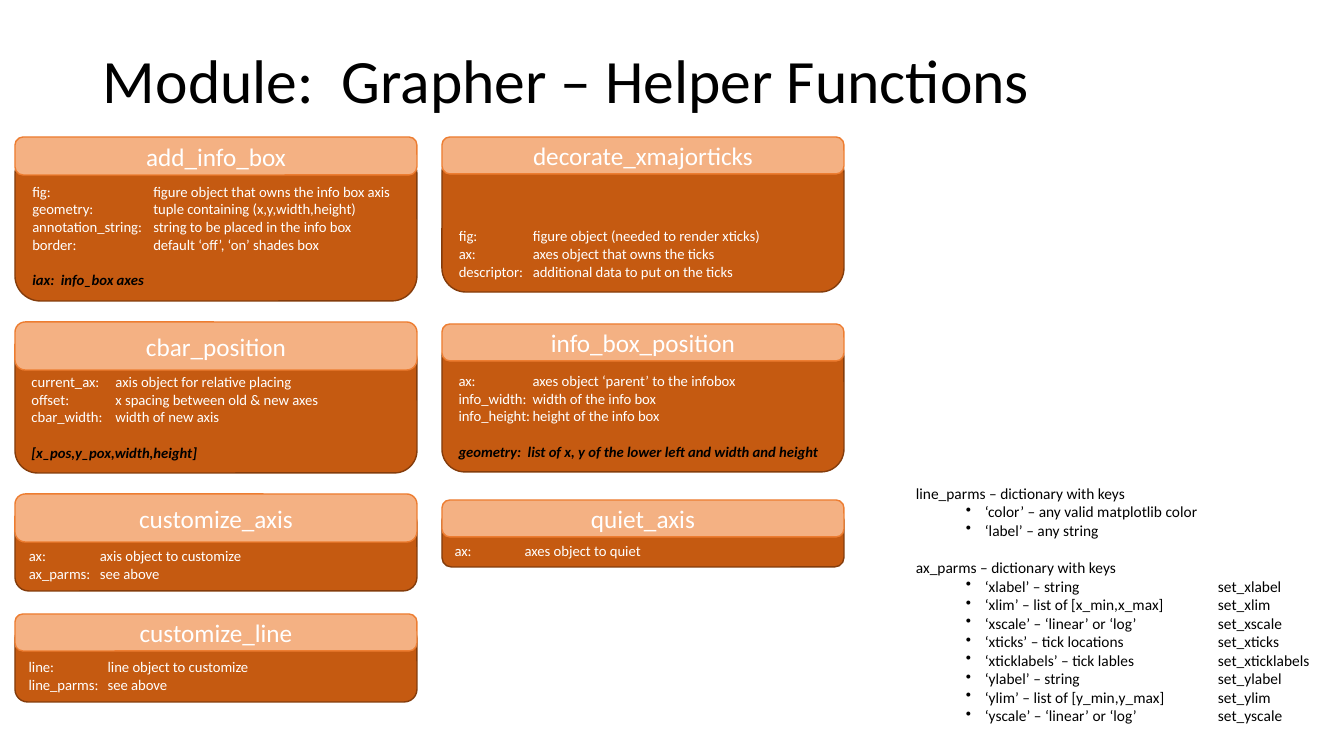
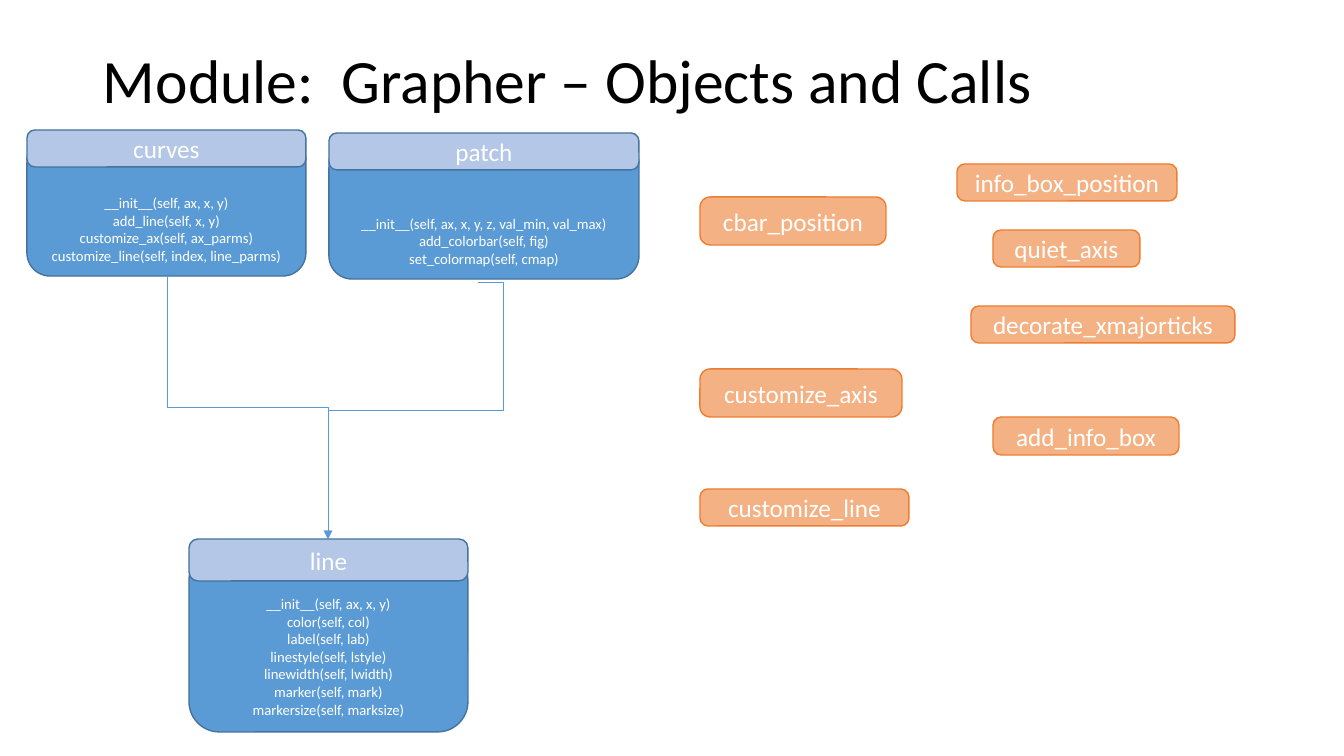
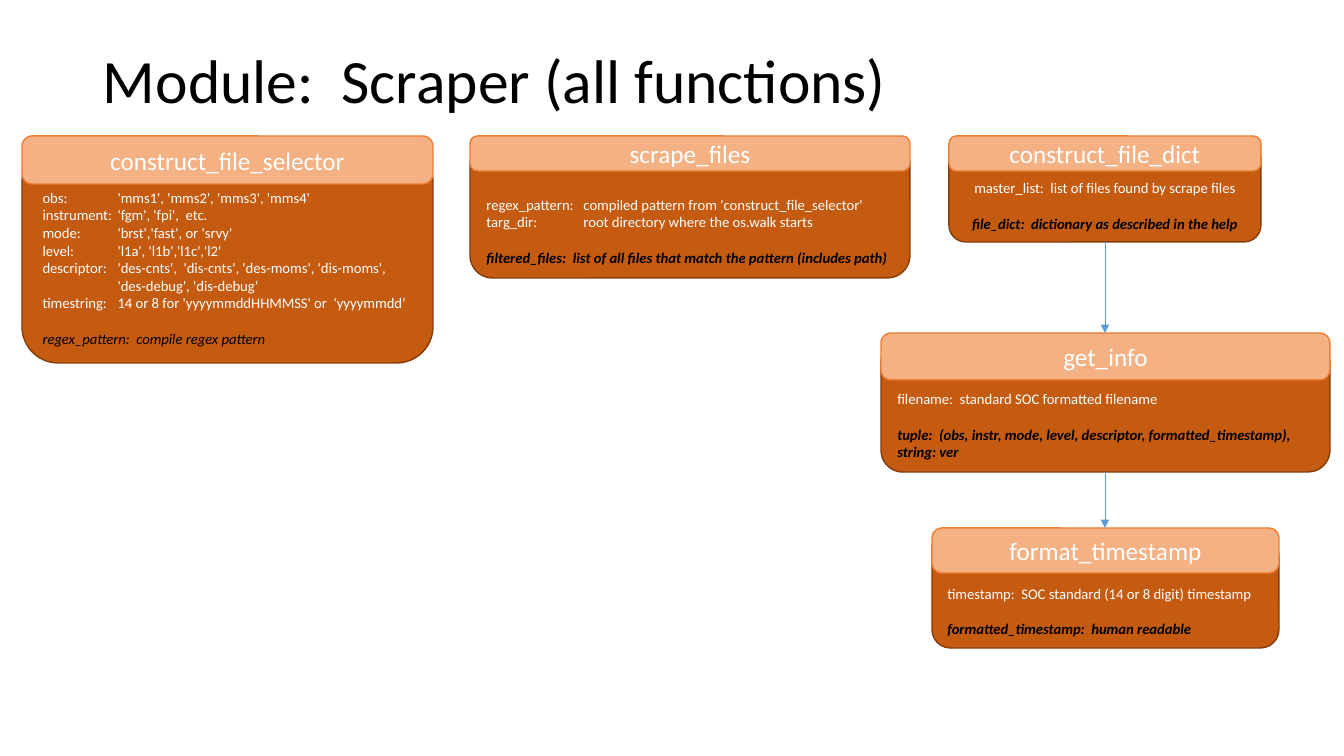
from lxml import etree
from pptx import Presentation
from pptx.dml.color import RGBColor
from pptx.enum.shapes import MSO_CONNECTOR, MSO_SHAPE
from pptx.enum.text import MSO_ANCHOR, PP_ALIGN
from pptx.oxml.ns import qn
from pptx.util import Pt

PIXEL = 914400 / 100.8
FONT = "Calibri"
BLACK = RGBColor(0x00, 0x00, 0x00)
WHITE = RGBColor(0xFF, 0xFF, 0xFF)
CONNECTOR_BLUE = RGBColor(0x5B, 0x9B, 0xD5)

ROUNDED = MSO_SHAPE.ROUNDED_RECTANGLE
STRAIGHT, ELBOW = MSO_CONNECTOR.STRAIGHT, MSO_CONNECTOR.ELBOW
LEFT, CENTER = PP_ALIGN.LEFT, PP_ALIGN.CENTER
MIDDLE, BOTTOM, TOP = MSO_ANCHOR.MIDDLE, MSO_ANCHOR.BOTTOM, MSO_ANCHOR.TOP

# Fill and outline of card headers and bodies
ORANGE = {
    "header": (RGBColor(0xF4, 0xB1, 0x83), RGBColor(0xED, 0x7D, 0x31)),
    "body": (RGBColor(0xC5, 0x5A, 0x11), RGBColor(0x84, 0x3C, 0x0B)),
}
BLUE_LINE = RGBColor(0x43, 0x73, 0x9E)
BLUE = {
    "header": (RGBColor(0xB4, 0xC7, 0xE7), BLUE_LINE),
    "body": (CONNECTOR_BLUE, BLUE_LINE),
}

# Text formats
TITLE = {"size": Pt(44), "color": BLACK}
HEADER = {"size": Pt(18), "color": WHITE}
ARGUMENT = {"size": Pt(10.5), "color": WHITE}
RESULT = {"size": Pt(10.5), "color": BLACK, "italic": True, "bold": True}
PLAIN_RESULT = {**RESULT, "bold": False}
NOTE = {"size": Pt(11), "color": BLACK}


def emu(pixels):
    return round(pixels * PIXEL)


def write(frame, rows, anchor, align=LEFT, tab=None):
    """Fill a text frame with (text, format) rows; return its paragraphs."""
    frame.word_wrap = True
    frame.vertical_anchor = anchor
    for index, (text, style) in enumerate(rows):
        paragraph = frame.paragraphs[0] if index == 0 else frame.add_paragraph()
        paragraph.alignment = align
        run = paragraph.add_run()
        run.text = text
        run.font.name = FONT
        for name, value in style.items():
            if name == "color":
                run.font.color.rgb = value
            else:
                setattr(run.font, name, value)
        if tab and "\t" in text:
            tabs = etree.SubElement(paragraph._p.get_or_add_pPr(), qn("a:tabLst"))
            etree.SubElement(tabs, qn("a:tab"), pos=str(emu(tab)), algn="l")
    return frame.paragraphs


def add_title(slide, text):
    box = slide.shapes.add_textbox(*map(emu, (93, 40, 1159, 87)))
    write(box.text_frame, [(text, TITLE)], MIDDLE)[0].line_spacing = 0.9


def rounded_box(shapes, box, colors):
    shape = shapes.add_shape(ROUNDED, *map(emu, box))
    shape.shadow.inherit = False
    shape.fill.solid()
    shape.fill.fore_color.rgb, shape.line.color.rgb = colors
    shape.line.width = Pt(1)
    return shape


def header_box(shapes, box, name, palette=ORANGE):
    shape = rounded_box(shapes, box, palette["header"])
    shape.adjustments[0] = 0.214
    write(shape.text_frame, [(name, HEADER)], MIDDLE, CENTER)


def card(slide, box, header_height, drop, name, arguments, results=(),
         tab=None, align=LEFT, palette=ORANGE, result_style=RESULT):
    """A header over a body that starts `drop` below the top of the box."""
    left, top, width, height = box
    shapes = slide.shapes.add_group_shape().shapes
    body = rounded_box(shapes, (left, top + drop, width, height - drop), palette["body"])
    rows = [(text, ARGUMENT) for text in arguments]
    rows += [(text, result_style) for text in results]
    paragraphs = write(body.text_frame, rows, BOTTOM, align, tab)
    if results:
        paragraphs[len(arguments)].space_before = Pt(12.8)
    header_box(shapes, (left, top, width, header_height), name, palette)


def connect(slide, kind, start, end):
    connector = slide.shapes.add_connector(kind, *map(emu, (*start, *end)))
    connector.line.color.rgb = CONNECTOR_BLUE
    connector.line.width = Pt(0.5)
    etree.SubElement(connector.line._get_or_add_ln(), qn("a:tailEnd"), type="triangle")
    etree.SubElement(connector._element.spPr, qn("a:effectLst"))
    return connector


def connect_down_right(slide, start, end):
    """An elbow that leaves downwards: a level elbow turned by 270 degrees."""
    center_x, center_y = (start[0] + end[0]) / 2, (start[1] + end[1]) / 2
    half_width, half_height = (end[1] - start[1]) / 2, (end[0] - start[0]) / 2
    connector = connect(slide, ELBOW,
                        (center_x + half_width, center_y - half_height),
                        (center_x - half_width, center_y + half_height))
    connector._element.spPr.find(qn("a:xfrm")).set("rot", str(270 * 60000))


def connect_around_right(slide, start, end, overhang):
    """An elbow that first runs right by `overhang`, then down and back left."""
    connector = connect(slide, ELBOW, start, end)
    geometry = connector._element.spPr.find(qn("a:prstGeom"))
    geometry.set("prst", "bentConnector4")
    guides = geometry.find(qn("a:avLst"))
    first = -round(overhang / (start[0] - end[0]) * 100000)
    for name, value in (("adj1", first), ("adj2", 50000)):
        etree.SubElement(guides, qn("a:gd"), name=name, fmla=f"val {value}")


def parameter_notes(slide, box, sections):
    """Headings, each with bulleted keys and a column of setters."""
    shape = slide.shapes.add_textbox(*map(emu, box))
    rows = []
    for heading, keys in sections:
        rows += [(heading, NOTE)] + [(key, NOTE) for key in keys]
    paragraphs = write(shape.text_frame, rows, TOP, tab=302)
    position = 0
    for heading, keys in sections:
        if position:
            paragraphs[position].space_before = Pt(13.4)
        for paragraph in paragraphs[position + 1:position + 1 + len(keys)]:
            properties = paragraph._p.get_or_add_pPr()
            properties.set("marL", str(emu(69)))
            properties.set("indent", str(emu(-19)))
            bullet = etree.Element(qn("a:buChar"), char="•")
            properties.insert(0, bullet)
        position += 1 + len(keys)


def helper_slide(slide):
    add_title(slide, "Module:  Grapher – Helper Functions")
    parameter_notes(slide, (906, 479, 447, 271), [
        ("line_parms – dictionary with keys",
         ["‘color’ – any valid matplotlib color", "‘label’ – any string"]),
        ("ax_parms – dictionary with keys", [
            "‘xlabel’ – string\tset_xlabel",
            "‘xlim’ – list of [x_min,x_max]\tset_xlim",
            "‘xscale’ – ‘linear’ or ‘log’\tset_xscale",
            "‘xticks’ – tick locations\tset_xticks",
            "‘xticklabels’ – tick lables\tset_xticklabels",
            "‘ylabel’ – string\tset_ylabel",
            "‘ylim’ – list of [y_min,y_max]\tset_ylim",
            "‘yscale’ – ‘linear’ or ‘log’\tset_yscale"]),
    ])
    first, second, width = 15, 442, 402
    # Left column
    card(slide, (first, 137, width, 164), 38, 12, "add_info_box",
         ["fig:\tfigure object that owns the info box axis",
          "geometry:\ttuple containing (x,y,width,height)",
          "annotation_string:\tstring to be placed in the info box",
          "border:\tdefault ‘off’, ‘on’ shades box"],
         ["iax:  info_box axes"], tab=121)
    card(slide, (first, 322, width, 151), 48, 16, "cbar_position",
         ["current_ax:\taxis object for relative placing",
          "offset:\tx spacing between old & new axes",
          "cbar_width:\twidth of new axis"],
         ["[x_pos,y_pox,width,height]"], tab=84)
    card(slide, (first, 494, width, 97), 48, 15, "customize_axis",
         ["ax:\taxis object to customize", "ax_parms:\tsee above"], tab=71)
    card(slide, (first, 614, width, 88), 37, 12, "customize_line",
         ["line:\tline object to customize", "line_parms:\tsee above"], tab=79)
    # Right column
    card(slide, (second, 137, width, 155), 37, 12, "decorate_xmajorticks",
         ["fig:\tfigure object (needed to render xticks)",
          "ax:\taxes object that owns the ticks",
          "descriptor:\tadditional data to put on the ticks"], tab=74)
    card(slide, (second, 324, width, 148), 37, 11, "info_box_position",
         ["ax:\taxes object ‘parent’ to the infobox",
          "info_width:\twidth of the info box",
          "info_height:\theight of the info box"],
         ["geometry:  list of x, y of the lower left and width and height"], tab=74)
    card(slide, (second, 500, width, 67), 37, 11, "quiet_axis",
         ["ax:\taxes object to quiet"], tab=70)


def objects_slide(slide):
    add_title(slide, "Module:  Grapher – Objects and Calls")
    # Classes
    classes = {"align": CENTER, "palette": BLUE}
    card(slide, (27, 130, 279, 146), 37, 7, "curves",
         ["__init__(self, ax, x, y)", "add_line(self, x, y)",
          "customize_ax(self, ax_parms)",
          "customize_line(self, index, line_parms)"], **classes)
    card(slide, (189, 539, 279, 193), 42, 11, "line",
         ["__init__(self, ax, x, y)", "color(self, col)", "label(self, lab)",
          "linestyle(self, lstyle)", "linewidth(self, lwidth)",
          "marker(self, mark)", "markersize(self, marksize)"], **classes)
    card(slide, (329, 133, 310, 146), 37, 7, "patch",
         ["__init__(self, ax, x, y, z, val_min, val_max)",
          "add_colorbar(self, fig)", "set_colormap(self, cmap)"], **classes)
    # Both classes call line
    line_top = (328, 539)
    connect_down_right(slide, (167, 276), line_top)
    connect_around_right(slide, (478, 282), line_top, 25)
    # Helper functions
    for name, *box in (
        ("add_info_box", 993, 417, 186, 38),
        ("cbar_position", 700, 197, 186, 48),
        ("customize_axis", 700, 369, 202, 48),
        ("customize_line", 700, 489, 209, 37),
        ("quiet_axis", 993, 230, 147, 37),
        ("info_box_position", 957, 164, 220, 37),
        ("decorate_xmajorticks", 971, 306, 264, 37),
    ):
        header_box(slide.shapes, box, name)


def scraper_slide(slide):
    add_title(slide, "Module:  Scraper (all functions)")
    card(slide, (22, 136, 411, 227), 48, 9, "construct_file_selector",
         ["obs:\t'mms1', 'mms2', 'mms3', 'mms4'",
          "instrument:\t'fgm', 'fpi',  etc.",
          "mode:\t'brst','fast', or 'srvy'",
          "level:\t'l1a', 'l1b','l1c','l2'",
          "descriptor:\t'des-cnts',  'dis-cnts', 'des-moms', 'dis-moms',",
          "\t'des-debug', 'dis-debug‘",
          "timestring:\t14 or 8 for 'yyyymmddHHMMSS' or  'yyyymmdd‘"],
         ["regex_pattern:  compile regex pattern"],
         tab=75, result_style=PLAIN_RESULT)
    card(slide, (470, 136, 440, 142), 35, 7, "scrape_files",
         ["regex_pattern:\tcompiled pattern from 'construct_file_selector'",
          "targ_dir:\troot directory where the os.walk starts"],
         ["filtered_files:  list of all files that match the pattern (includes path)"],
         tab=97)
    # Chain of calls
    card(slide, (949, 136, 312, 106), 35, 6, "construct_file_dict",
         ["master_list:  list of files found by scrape files"],
         ["file_dict:  dictionary as described in the help"], align=CENTER)
    card(slide, (881, 333, 449, 139), 47, 8, "get_info",
         ["filename:  standard SOC formatted filename"],
         ["tuple:  (obs, instr, mode, level, descriptor, formatted_timestamp),",
          "string: ver"])
    card(slide, (932, 528, 347, 120), 45, 9, "format_timestamp",
         ["timestamp:  SOC standard (14 or 8 digit) timestamp"],
         ["formatted_timestamp:  human readable"])
    for top, bottom in ((242, 333), (472, 528)):
        connect(slide, STRAIGHT, (1105, top), (1105, bottom))


presentation = Presentation()
presentation.slide_width, presentation.slide_height = emu(1344), emu(756)
blank = presentation.slide_layouts[6]
for build in (helper_slide, objects_slide, scraper_slide):
    build(presentation.slides.add_slide(blank))
presentation.save("out.pptx")
